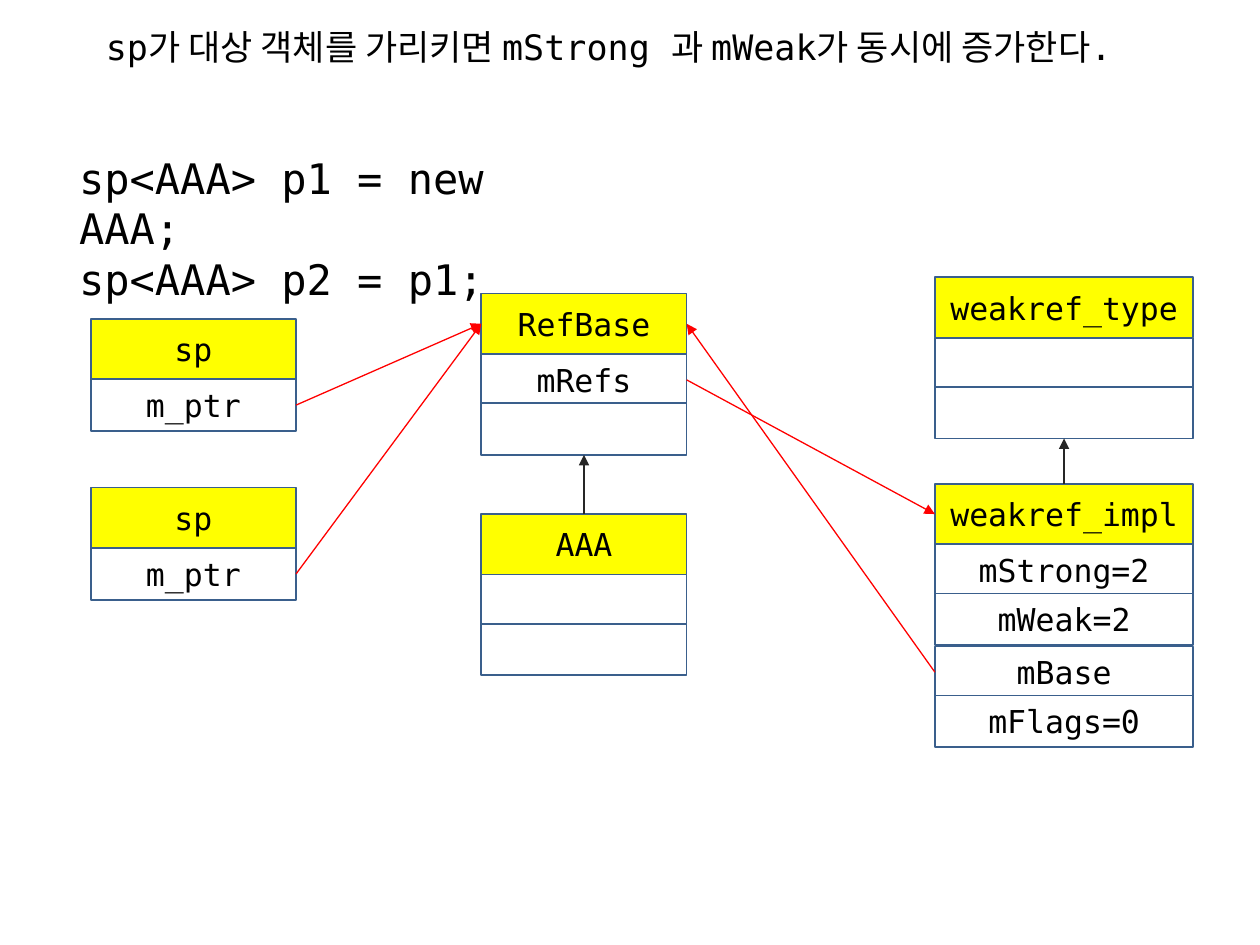
from dataclasses import dataclass

from lxml.etree import SubElement
from pptx import Presentation
from pptx.dml.color import RGBColor
from pptx.enum.shapes import MSO_CONNECTOR, MSO_SHAPE
from pptx.enum.text import MSO_ANCHOR, MSO_AUTO_SIZE, PP_ALIGN
from pptx.oxml.ns import qn
from pptx.util import Inches, Pt


@dataclass(frozen=True)
class Theme:
    font: str = "DejaVu Sans Mono"
    title_size: int = 20
    code_size: int = 24
    member_size: int = 18
    text: RGBColor = RGBColor(0, 0, 0)
    header: RGBColor = RGBColor(0xFF, 0xFF, 0)
    member: RGBColor = RGBColor(0xFF, 0xFF, 0xFF)
    border: RGBColor = RGBColor(0x3A, 0x5F, 0x8C)
    inherits: RGBColor = RGBColor(0x26, 0x26, 0x26)
    points_to: RGBColor = RGBColor(0xFF, 0, 0)
    border_width: float = 1
    arrow_width: float = 0.75


THEME = Theme()
COLUMNS, ROWS = 100, 75
CELL = Inches(0.1)
TOP, LEFT, BOTTOM, RIGHT = range(4)

# Member rows come in slightly overlapping pairs below the header.
HEADER_HEIGHT, MEMBER_HEIGHT = 4.8, 4.1
MEMBER_STEP, PAIR_STEP = 3.9, 8.1

# Left, top, width in grid cells, then the header and its members.
CLASSES = {
    "p1": ((7.2, 25.3, 16.3), "sp", ["m_ptr"]),
    "p2": ((7.2, 38.7, 16.3), "sp", ["m_ptr"]),
    "base": ((38.2, 23.3, 16.3), "RefBase", ["mRefs", ""]),
    "target": ((38.2, 40.8, 16.3), "AAA", ["", ""]),
    "weak": ((74.2, 22, 20.5), "weakref_type", ["", ""]),
    "impl": ((74.2, 38.4, 20.5), "weakref_impl",
             ["mStrong=2", "mWeak=2", "mBase", "mFlags=0"]),
}

# Class, row and side at each end; row 0 is the header, -1 the last member.
INHERITANCE = [
    (("target", 0, TOP), ("base", -1, BOTTOM)),
    (("impl", 0, TOP), ("weak", -1, BOTTOM)),
]
POINTERS = [
    (("p1", 1, RIGHT), ("base", 0, LEFT)),
    (("p2", 1, RIGHT), ("base", 0, LEFT)),
    (("base", 1, RIGHT), ("impl", 0, LEFT)),
    (("impl", 3, LEFT), ("base", 0, RIGHT)),
]


def grid(*cells):
    return [round(cell * CELL) for cell in cells]


def add_text(paragraph, text, size):
    run = paragraph.add_run()
    run.text = text
    run.font.name = THEME.font
    run.font.size = Pt(size)
    run.font.color.rgb = THEME.text


def place_title(slide, box):
    title = slide.shapes.title
    title.left, title.top, title.width, title.height = grid(*box)
    frame = title.text_frame
    frame.word_wrap = True
    frame.auto_size = MSO_AUTO_SIZE.NONE
    frame.vertical_anchor = MSO_ANCHOR.TOP
    sentence = frame.paragraphs[0]
    sentence.alignment = PP_ALIGN.LEFT
    add_text(sentence, "sp가 대상 객체를 가리키면 mStrong 과 mWeak가 동시에 증가한다.",
             THEME.title_size)


def place_code(slide, box):
    frame = slide.shapes.add_textbox(*grid(*box)).text_frame
    frame.word_wrap = True
    add_text(frame.paragraphs[0], "sp<AAA> p1 = new AAA;", THEME.code_size)
    add_text(frame.add_paragraph(), "sp<AAA> p2 = p1;", THEME.code_size)


def place_row(slide, box, label, fill):
    row = slide.shapes.add_shape(MSO_SHAPE.RECTANGLE, *grid(*box))
    row.shadow.inherit = False
    row.fill.solid()
    row.fill.fore_color.rgb = fill
    row.line.color.rgb = THEME.border
    row.line.width = Pt(THEME.border_width)
    if label:
        frame = row.text_frame
        frame.vertical_anchor = MSO_ANCHOR.MIDDLE
        frame.paragraphs[0].alignment = PP_ALIGN.CENTER
        add_text(frame.paragraphs[0], label, THEME.member_size)
    return row


def place_class(slide, box, header, members):
    """Stack the header and its members, and return the rows in order."""
    left, top, width = box
    rows = [place_row(slide, (left, top, width, HEADER_HEIGHT), header, THEME.header)]
    for index, member in enumerate(members):
        pair, second = divmod(index, 2)
        offset = HEADER_HEIGHT + pair * PAIR_STEP + second * MEMBER_STEP
        rows.append(place_row(slide, (left, top + offset, width, MEMBER_HEIGHT),
                              member, THEME.member))
    return rows


def connect(slide, classes, start, end, color):
    arrow = slide.shapes.add_connector(MSO_CONNECTOR.STRAIGHT, 0, 0, 0, 0)
    for join, (name, row, side) in ((arrow.begin_connect, start),
                                    (arrow.end_connect, end)):
        join(classes[name][row], side)
    arrow.line.color.rgb = color
    arrow.line.width = Pt(THEME.arrow_width)
    SubElement(arrow.line._get_or_add_ln(), qn("a:tailEnd"), type="triangle")
    SubElement(arrow._element.spPr, qn("a:effectLst"))


def place_diagram(slide):
    classes = {name: place_class(slide, *parts) for name, parts in CLASSES.items()}
    for links, color in ((INHERITANCE, THEME.inherits), (POINTERS, THEME.points_to)):
        for start, end in links:
            connect(slide, classes, start, end, color)


def main():
    deck = Presentation()
    deck.slide_width, deck.slide_height = grid(COLUMNS, ROWS)
    slide = deck.slides.add_slide(deck.slide_layouts[5])
    place_title(slide, (7.4, 1.5, 92.3, 4.4))
    place_diagram(slide)
    place_code(slide, (5.3, 11.6, 41, 13.1))
    deck.save("out.pptx")


if __name__ == "__main__":
    main()
